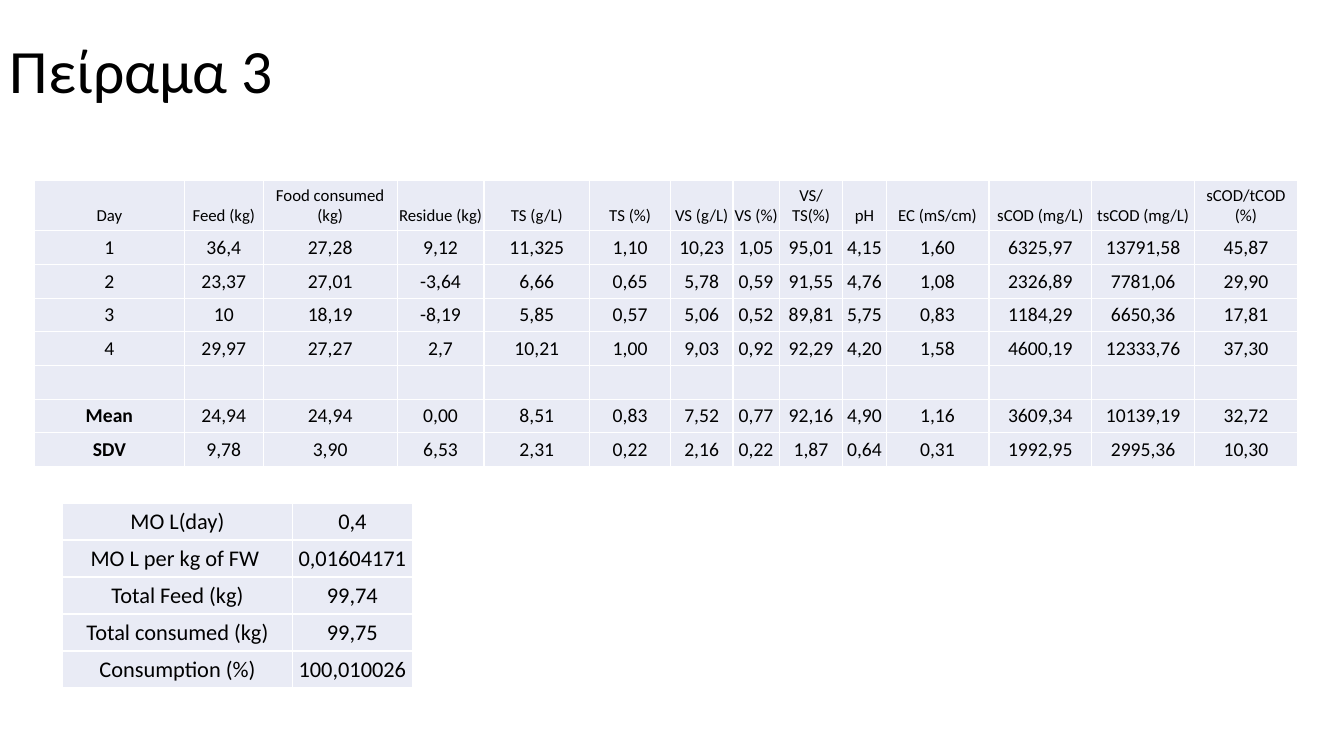
from lxml import etree
from pptx import Presentation
from pptx.dml.color import RGBColor
from pptx.enum.text import MSO_ANCHOR, PP_ALIGN
from pptx.oxml.ns import qn
from pptx.util import Inches, Pt

BLACK = RGBColor(0x00, 0x00, 0x00)
WHITE = RGBColor(0xFF, 0xFF, 0xFF)
PALE = RGBColor(0xE9, 0xEB, 0xF5)
FONT = "Calibri"
MIDDLE, BOTTOM = MSO_ANCHOR.MIDDLE, MSO_ANCHOR.BOTTOM
CENTER = PP_ALIGN.CENTER
EDGE = 0.96

CELL = {
    "margin_left": Inches(0.01), "margin_right": Inches(0.01),
    "margin_top": Inches(0.05), "margin_bottom": Inches(0.05),
    "vertical_anchor": BOTTOM,
}

DAYS = [
    ["Day", "Feed (kg)", "Food consumed (kg)", "Residue (kg)", "TS (g/L)",
     "TS (%)", "VS (g/L)", "VS (%)", "VS/TS(%)", "pH", "EC (mS/cm)",
     "sCOD (mg/L)", "tsCOD (mg/L)", "sCOD/tCOD (%)"],
    ["1", "36,4", "27,28", "9,12", "11,325", "1,10", "10,23", "1,05",
     "95,01", "4,15", "1,60", "6325,97", "13791,58", "45,87"],
    ["2", "23,37", "27,01", "-3,64", "6,66", "0,65", "5,78", "0,59",
     "91,55", "4,76", "1,08", "2326,89", "7781,06", "29,90"],
    ["3", "10", "18,19", "-8,19", "5,85", "0,57", "5,06", "0,52",
     "89,81", "5,75", "0,83", "1184,29", "6650,36", "17,81"],
    ["4", "29,97", "27,27", "2,7", "10,21", "1,00", "9,03", "0,92",
     "92,29", "4,20", "1,58", "4600,19", "12333,76", "37,30"],
    [""] * 14,
    ["Mean", "24,94", "24,94", "0,00", "8,51", "0,83", "7,52", "0,77",
     "92,16", "4,90", "1,16", "3609,34", "10139,19", "32,72"],
    ["SDV", "9,78", "3,90", "6,53", "2,31", "0,22", "2,16", "0,22",
     "1,87", "0,64", "0,31", "1992,95", "2995,36", "10,30"],
]
WIDTHS = [1.49, 0.78, 1.33, 0.86, 1.05, 0.8, 0.62, 0.46, 0.63, 0.43] + [1.02] * 4

TOTALS = [
    ["MO L(day)", "0,4"],
    ["MO L per kg of FW ", "0,01604171"],
    ["Total Feed (kg)", "99,74"],
    ["Total consumed (kg)", "99,75"],
    ["Consumption (%)", "100,010026"],
]


def apply(item, form):
    for name, value in form.items():
        setattr(item, name, value)


def write(para, text, size, bold=False):
    if not text:
        etree.SubElement(para._p, qn("a:endParaRPr"), sz=str(size * 100))
        return
    run = para.add_run()
    run.text = text
    apply(run.font, {"name": FONT, "size": Pt(size), "bold": bold})
    run.font.color.rgb = BLACK


def border(cell):
    props = cell._tc.get_or_add_tcPr()
    for spot, side in enumerate(("lnL", "lnR", "lnT", "lnB")):
        line = etree.Element(qn("a:" + side), w=str(int(Pt(EDGE))))
        fill = etree.SubElement(line, qn("a:solidFill"))
        etree.SubElement(fill, qn("a:srgbClr"), val=str(WHITE))
        props.insert(spot, line)


def add_title(slide, box, text):
    shape = slide.shapes.add_textbox(*map(Inches, box))
    frame = shape.text_frame
    apply(frame, {"word_wrap": True, "vertical_anchor": MIDDLE})
    para = frame.paragraphs[0]
    para.line_spacing = 0.9
    write(para, text, 44)


def add_grid(slide, spot, data, widths, height, size, head=None):
    left, top = spot
    box = (left, top, sum(widths), height * len(data))
    table = slide.shapes.add_table(
        len(data), len(widths), *map(Inches, box)).table
    apply(table, {"first_row": False, "horz_banding": False})
    for col, width in zip(table.columns, widths):
        col.width = Inches(width)
    for r, (row, texts) in enumerate(zip(table.rows, data)):
        row.height = Inches(height)
        for cell, text in zip(row.cells, texts):
            apply(cell, CELL)
            cell.fill.solid()
            cell.fill.fore_color.rgb = PALE
            border(cell)
            para = cell.text_frame.paragraphs[0]
            para.alignment = CENTER
            write(para, text, head if head and r == 0 else size,
                  text in ("Mean", "SDV"))


def main():
    deck = Presentation()
    apply(deck, {"slide_width": Inches(13.33), "slide_height": Inches(7.5)})
    slide = deck.slides.add_slide(deck.slide_layouts[6])
    add_title(slide, (0, 0, 11.5, 1.45), "Πείραμα 3")
    add_grid(slide, (0.34, 1.79), DAYS, WIDTHS, 0.32, 14, 12)
    add_grid(slide, (0.62, 4.99), TOTALS, (2.28, 1.19), 0.33, 16)
    deck.save("out.pptx")


if __name__ == "__main__":
    main()
